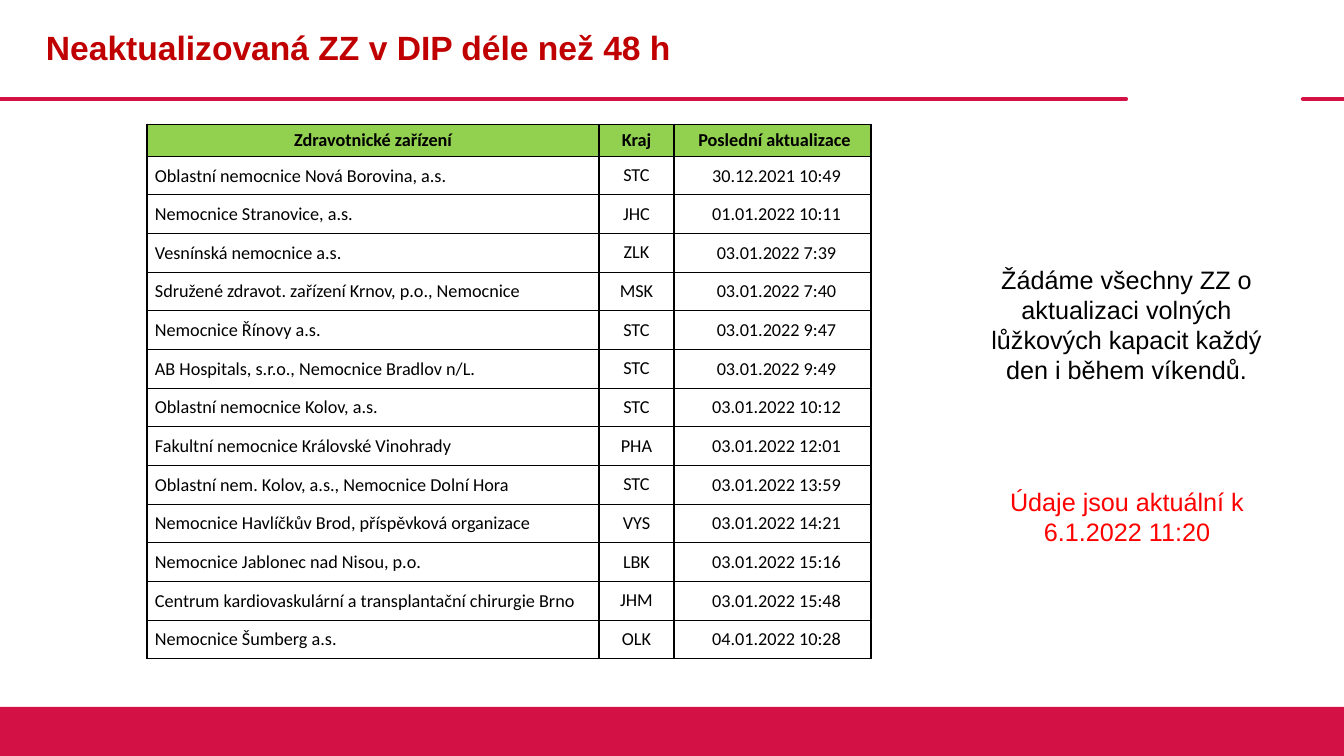
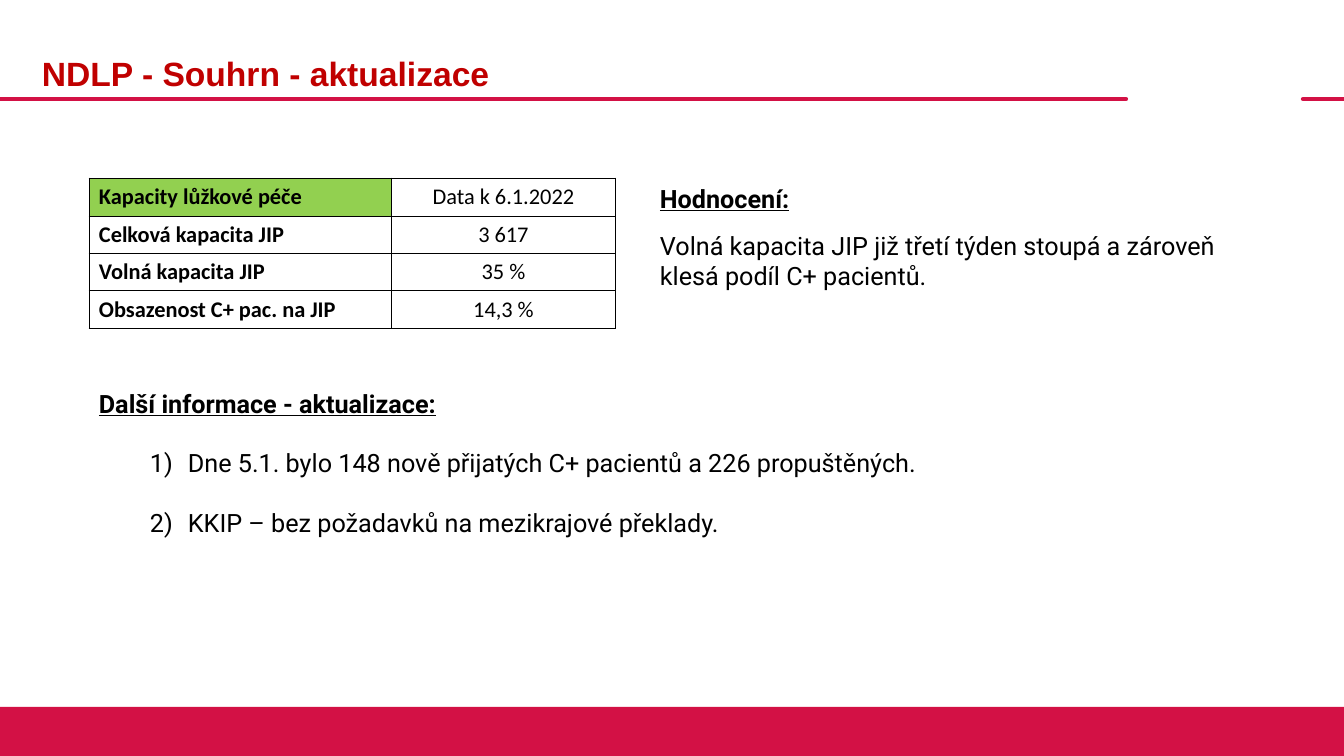
from dataclasses import dataclass

from lxml.etree import SubElement
from pptx import Presentation
from pptx.dml.color import RGBColor
from pptx.enum.shapes import MSO_CONNECTOR, MSO_SHAPE
from pptx.enum.text import MSO_ANCHOR, MSO_AUTO_SIZE, PP_ALIGN
from pptx.oxml.ns import qn
from pptx.util import Emu, Pt

EMU_PER_PX = 914400 / 100.8
BLANK_LAYOUT = 6


def px(length):
    return Emu(round(length * EMU_PER_PX))


def color(hex_value):
    return RGBColor.from_string(hex_value)


@dataclass
class TextLine:
    text: str
    bold: bool = False
    underline: bool = False
    numbered: bool = False
    before: int = 0
    after: int = 0


@dataclass
class Column:
    width: int
    align: PP_ALIGN
    margins: tuple = (10, 5, 10, 5)
    header_margins: tuple = (10, 5, 10, 5)
    bold: bool = False


class Deck:
    crimson = "D31145"
    title_red = "C00000"
    green = "92D050"
    black = "000000"
    white = "FFFFFF"
    heading_font = "Arial"
    table_font = "Calibri"
    body_font = "Roboto"

    def __init__(self):
        self.presentation = Presentation()
        self.presentation.slide_width = px(1344)
        self.presentation.slide_height = px(756)
        self.slide = None

    def new_slide(self, title, left, top):
        layout = self.presentation.slide_layouts[BLANK_LAYOUT]
        self.slide = self.presentation.slides.add_slide(layout)
        self.rule(0, 1126)
        self.rule(1303, 1344)
        self.footer_band()
        self.title(title, left, top)

    def rule(self, start, end):
        line = self.slide.shapes.add_connector(
            MSO_CONNECTOR.STRAIGHT, px(start), px(99), px(end), px(99))
        line.line.color.rgb = color(self.crimson)
        line.line.width = Pt(3)
        line.line._get_or_add_ln().set("cap", "rnd")
        SubElement(line._element.spPr, qn("a:effectLst"))

    def footer_band(self):
        band = self.slide.shapes.add_shape(
            MSO_SHAPE.RECTANGLE, 0, px(707), px(1344), px(49))
        band.shadow.inherit = False
        band.fill.solid()
        band.fill.fore_color.rgb = color(self.crimson)
        band.line.fill.background()

    def title(self, text, left, top):
        frame = self.text_box((left, top, 1090, 99), [TextLine(text, bold=True)],
                              self.heading_font, self.title_red, size=24)
        frame.auto_size = MSO_AUTO_SIZE.NONE
        frame.vertical_anchor = MSO_ANCHOR.MIDDLE
        frame.paragraphs[0].line_spacing = 0.9

    def text_box(self, box, lines, font, text_color, size=18, align=PP_ALIGN.LEFT):
        shape = self.slide.shapes.add_textbox(*map(px, box))
        frame = shape.text_frame
        frame.word_wrap = True
        frame.auto_size = MSO_AUTO_SIZE.SHAPE_TO_FIT_TEXT
        for index, line in enumerate(lines):
            paragraph = frame.add_paragraph() if index else frame.paragraphs[0]
            if line.numbered:
                self.number(paragraph)
            paragraph.alignment = align
            paragraph.space_before = Pt(line.before)
            paragraph.space_after = Pt(line.after)
            self.run(paragraph, line, font, size, text_color)
        return frame

    def number(self, paragraph):
        properties = paragraph._p.get_or_add_pPr()
        properties.set("marL", str(px(89)))
        properties.set("indent", str(px(-38)))
        SubElement(properties, qn("a:buFont"), typeface="+mj-lt")
        SubElement(properties, qn("a:buAutoNum"), type="arabicParenR")

    def run(self, paragraph, line, font, size, text_color):
        run = paragraph.add_run()
        run.text = line.text
        run.font.name = font
        run.font.size = Pt(size)
        run.font.bold = line.bold
        run.font.underline = line.underline
        run.font.color.rgb = color(text_color)

    def table(self, box, columns, rows, header_height, size, borders, header_cells):
        left, top, height = box
        width = sum(column.width for column in columns)
        table = self.slide.shapes.add_table(
            len(rows), len(columns), px(left), px(top), px(width), px(height)).table
        table.first_row = False
        table.horz_banding = False
        for index, column in enumerate(columns):
            table.columns[index].width = px(column.width)
        body_height = (height - header_height) / (len(rows) - 1)
        for row_index, values in enumerate(rows):
            table.rows[row_index].height = px(body_height if row_index else header_height)
            for column_index, (column, value) in enumerate(zip(columns, values)):
                header = row_index == 0 and column_index < header_cells
                self.cell(table.cell(row_index, column_index), value, column,
                          header, size, borders)

    def cell(self, cell, value, column, header, size, borders):
        margins = column.header_margins if header else column.margins
        cell.margin_left, cell.margin_top, cell.margin_right, cell.margin_bottom = map(
            px, margins)
        cell.vertical_anchor = MSO_ANCHOR.MIDDLE
        vertical, horizontal = borders
        for edge, width in (("lnL", vertical), ("lnR", vertical),
                            ("lnT", horizontal), ("lnB", horizontal)):
            line = SubElement(cell._tc.get_or_add_tcPr(), qn(f"a:{edge}"), w=str(Pt(width)))
            fill = SubElement(line, qn("a:solidFill"))
            SubElement(fill, qn("a:srgbClr"), val=self.black)
        cell.fill.solid()
        cell.fill.fore_color.rgb = color(self.green if header else self.white)
        paragraph = cell.text_frame.paragraphs[0]
        centered = header and not column.bold
        paragraph.alignment = PP_ALIGN.CENTER if centered else column.align
        line = TextLine(value, bold=header or column.bold)
        self.run(paragraph, line, self.table_font, size, self.black)


def facilities_slide(deck):
    deck.new_slide("Neaktualizovaná ZZ v DIP déle než 48 h", 36, 0)
    deck.text_box((982, 481, 290, 72), [TextLine("Údaje jsou aktuální k 6.1.2022 11:20")],
                  deck.heading_font, "FF0000", align=PP_ALIGN.CENTER)
    tight = (1, 1, 1, 0)
    columns = [
        Column(452, PP_ALIGN.LEFT, (8, 1, 1, 0), tight),
        Column(75, PP_ALIGN.CENTER, (1, 8, 1, 8), tight),
        Column(197, PP_ALIGN.CENTER, (9, 1, 1, 0), (5, 1, 1, 0)),
    ]
    rows = [
        ("Zdravotnické zařízení", "Kraj", "Poslední aktualizace"),
        ("Oblastní nemocnice Nová Borovina, a.s.", "STC", "30.12.2021 10:49"),
        ("Nemocnice Stranovice, a.s.", "JHC", "01.01.2022 10:11"),
        ("Vesnínská nemocnice a.s.", "ZLK", "03.01.2022 7:39"),
        ("Sdružené zdravot. zařízení Krnov, p.o., Nemocnice", "MSK", "03.01.2022 7:40"),
        ("Nemocnice Řínovy a.s.", "STC", "03.01.2022 9:47"),
        ("AB Hospitals, s.r.o., Nemocnice Bradlov n/L.", "STC", "03.01.2022 9:49"),
        ("Oblastní nemocnice Kolov, a.s.", "STC", "03.01.2022 10:12"),
        ("Fakultní nemocnice Královské Vinohrady", "PHA", "03.01.2022 12:01"),
        ("Oblastní nem. Kolov, a.s., Nemocnice Dolní Hora", "STC", "03.01.2022 13:59"),
        ("Nemocnice Havlíčkův Brod, příspěvková organizace", "VYS", "03.01.2022 14:21"),
        ("Nemocnice Jablonec nad Nisou, p.o.", "LBK", "03.01.2022 15:16"),
        ("Centrum kardiovaskulární a transplantační chirurgie Brno", "JHM",
         "03.01.2022 15:48"),
        ("Nemocnice Šumberg a.s.", "OLK", "04.01.2022 10:28"),
    ]
    deck.table((147, 124, 535), columns, rows, header_height=32, size=13,
               borders=(1, 0.5), header_cells=3)
    request = ("Žádáme všechny ZZ o aktualizaci volných lůžkových kapacit "
               "každý den i během víkendů.")
    deck.text_box((976, 259, 301, 132), [TextLine(request)],
                  deck.heading_font, deck.black, align=PP_ALIGN.CENTER)


def summary_slide(deck):
    deck.new_slide("NDLP - Souhrn - aktualizace", 32, 26)
    columns = [Column(302, PP_ALIGN.LEFT, bold=True), Column(225, PP_ALIGN.CENTER)]
    rows = [
        ("Kapacity lůžkové péče", "Data k 6.1.2022"),
        ("Celková kapacita JIP", "3 617"),
        ("Volná kapacita JIP", "35 %"),
        ("Obsazenost C+ pac. na JIP", "14,3 %"),
    ]
    deck.table((89, 178, 150), columns, rows, header_height=38, size=16,
               borders=(0.75, 0.75), header_cells=1)
    deck.text_box((89, 383, 1208, 163), [
        TextLine("Další informace - aktualizace:", bold=True, underline=True),
        TextLine("Dne 5.1. bylo 148 nově přijatých C+ pacientů a 226 propuštěných.",
                 numbered=True, before=21),
        TextLine("KKIP – bez požadavků na mezikrajové překlady.", numbered=True, before=21),
    ], deck.body_font, deck.black)
    deck.text_box((650, 178, 580, 119), [
        TextLine("Hodnocení:", bold=True, underline=True, after=12),
        TextLine("Volná kapacita JIP již třetí týden stoupá a zároveň "
                 "klesá podíl C+ pacientů."),
    ], deck.body_font, deck.black)


def main():
    deck = Deck()
    facilities_slide(deck)
    summary_slide(deck)
    deck.presentation.save("out.pptx")


if __name__ == "__main__":
    main()
